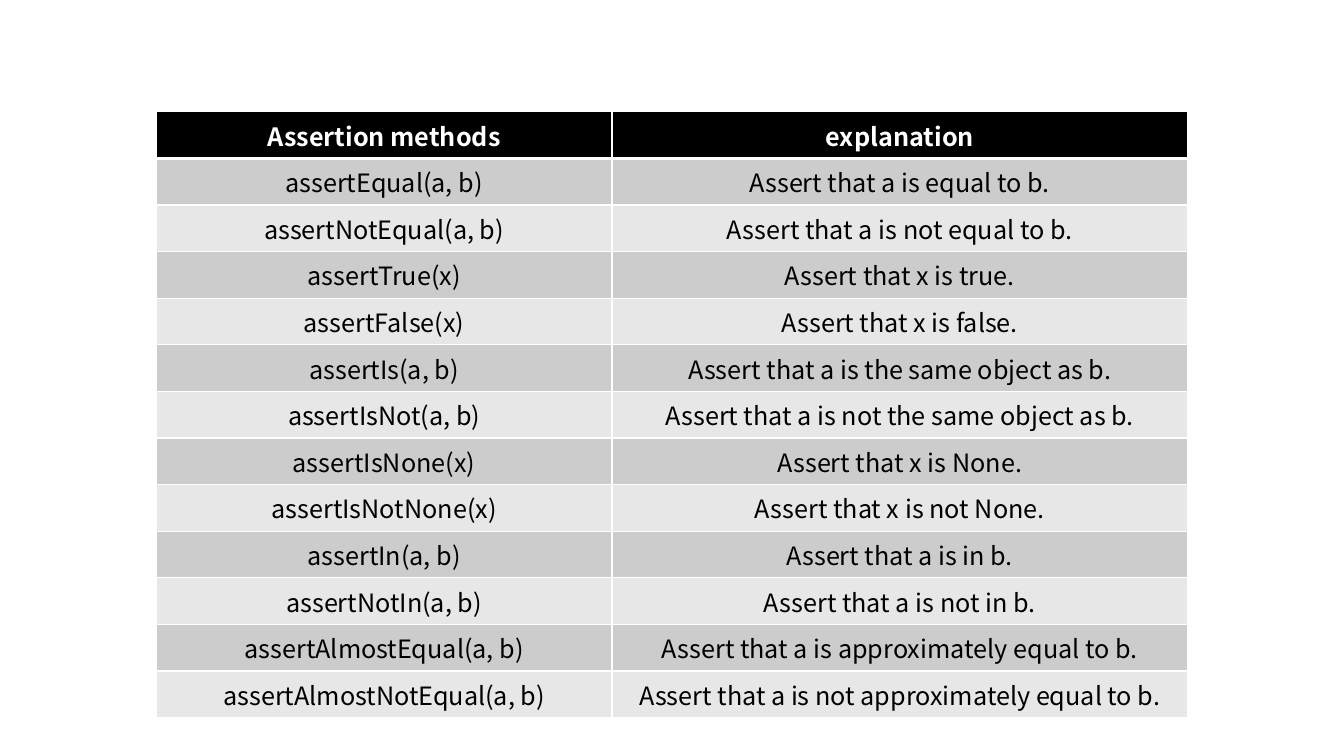
import lxml.etree
import pptx
import pptx.dml.color
import pptx.enum.text
import pptx.oxml.ns
import pptx.util

Inches = pptx.util.Inches
FONT = "Noto Sans CJK KR"
COLUMN_WIDTHS = (4.52, 5.71)
ROW_HEIGHT = 0.41
BANDS = ("CCCCCC", "E7E7E7")
HEADER = ("Assertion methods", "explanation")
ASSERTIONS = [
    ("assertEqual(a, b)", "Assert that a is equal to b."),
    ("assertNotEqual(a, b)", "Assert that a is not equal to b."),
    ("assertTrue(x)", "Assert that x is true."),
    ("assertFalse(x)", "Assert that x is false."),
    ("assertIs(a, b)", "Assert that a is the same object as b."),
    ("assertIsNot(a, b)", "Assert that a is not the same object as b."),
    ("assertIsNone(x)", "Assert that x is None."),
    ("assertIsNotNone(x)", "Assert that x is not None."),
    ("assertIn(a, b)", "Assert that a is in b."),
    ("assertNotIn(a, b)", "Assert that a is not in b."),
    ("assertAlmostEqual(a, b)", "Assert that a is approximately equal to b."),
    ("assertAlmostNotEqual(a, b)", "Assert that a is not approximately equal to b."),
]


def rgb(value):
    return pptx.dml.color.RGBColor.from_string(value)


def set_borders(cell, color, **widths):
    """Draw the named sides (L, R, T, B) with widths in points."""
    qn = pptx.oxml.ns.qn
    properties = cell._tc.get_or_add_tcPr()
    for side, width in widths.items():
        line = lxml.etree.SubElement(
            properties, qn(f"a:ln{side}"), w=str(pptx.util.Pt(width)))
        fill = lxml.etree.SubElement(line, qn("a:solidFill"))
        lxml.etree.SubElement(fill, qn("a:srgbClr"), val=color)


def fill_cell(cell, text, fill, color, bold):
    cell.fill.solid()
    cell.fill.fore_color.rgb = rgb(fill)
    cell.text = text
    para = cell.text_frame.paragraphs[0]
    para.alignment = pptx.enum.text.PP_ALIGN.CENTER
    para.font.name = FONT
    para.font.size = pptx.util.Pt(18)
    para.font.bold = bold
    para.font.color.rgb = rgb(color)


def add_assertion_table(page, left, top):
    rows = [HEADER] + ASSERTIONS
    table = page.shapes.add_table(
        len(rows), len(COLUMN_WIDTHS), Inches(left), Inches(top),
        Inches(sum(COLUMN_WIDTHS)), Inches(ROW_HEIGHT * len(rows))).table
    for column, width in zip(table.columns, COLUMN_WIDTHS):
        column.width = Inches(width)
    for index, texts in enumerate(rows):
        table.rows[index].height = Inches(ROW_HEIGHT)
        is_header = index == 0
        fill = "000000" if is_header else BANDS[(index - 1) % 2]
        color = "FFFFFF" if is_header else "000000"
        for cell, text in zip(table.rows[index].cells, texts):
            set_borders(cell, "FFFFFF", L=1, R=1,
                        T=3 if index == 1 else 1, B=3 if is_header else 1)
            fill_cell(cell, text, fill, color, bold=is_header)


def main():
    deck = pptx.Presentation()
    deck.slide_width = Inches(13.33)
    deck.slide_height = Inches(7.5)
    page = deck.slides.add_slide(deck.slide_layouts[6])
    add_assertion_table(page, 1.55, 1.11)
    deck.save("out.pptx")


if __name__ == "__main__":
    main()
